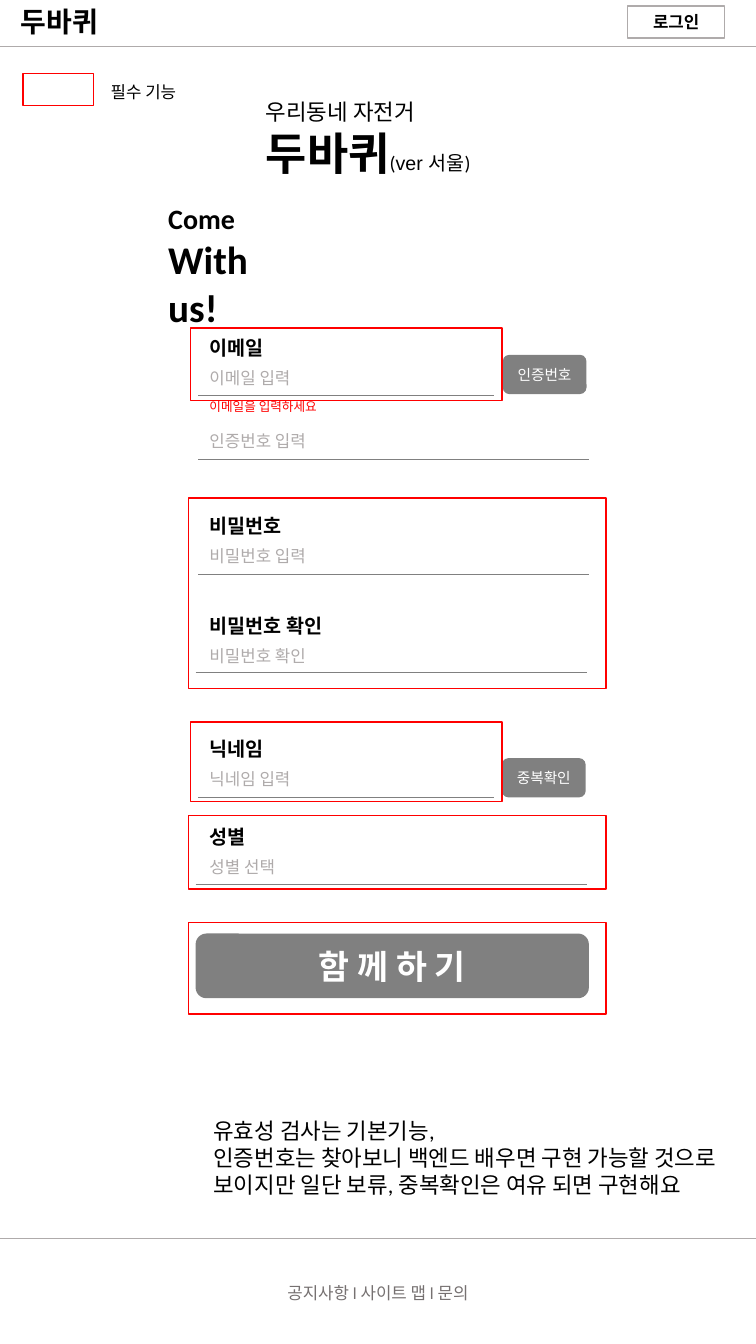
from dataclasses import dataclass

from lxml import etree
from pptx import Presentation
from pptx.dml.color import RGBColor
from pptx.enum.shapes import MSO_CONNECTOR, MSO_SHAPE
from pptx.enum.text import MSO_ANCHOR, MSO_AUTO_SIZE, PP_ALIGN
from pptx.oxml.ns import qn
from pptx.util import Cm, Pt

STRAIGHT = MSO_CONNECTOR.STRAIGHT
RECT, ROUNDED = MSO_SHAPE.RECTANGLE, MSO_SHAPE.ROUNDED_RECTANGLE
LEFT, CENTER = PP_ALIGN.LEFT, PP_ALIGN.CENTER
MIDDLE = MSO_ANCHOR.MIDDLE
GROW = MSO_AUTO_SIZE.SHAPE_TO_FIT_TEXT

WIDTH, HEIGHT = 19.05, 33.86
FIELD_X = 5.03
HINT_DROP = 0.8
SHORT_RULE, LONG_RULE, LOW_RULE = (5, 12.45), (5, 14.83), (4.93, 14.78)

# label, label top, hint, hint width, rule ends, rule y
FIELDS = [
    ("이메일", 8.33, "이메일 입력", 5.38, SHORT_RULE, 9.96),
    (None, 9.92, "인증번호 입력", 9, LONG_RULE, 11.58),
    ("비밀번호", 12.83, "비밀번호 입력", 9, LONG_RULE, 14.48),
    ("비밀번호 확인", 15.34, "비밀번호 확인", 9, LOW_RULE, 16.94),
    ("닉네임", 18.44, "닉네임 입력", 5.38, SHORT_RULE, 20.09),
    ("성별", 20.65, "성별 선택", 9, LOW_RULE, 22.28),
]
REQUIRED_BOXES = [
    (0.58, 1.85, 1.78, 0.81),
    (4.8, 8.26, 7.85, 1.83),
    (4.75, 12.55, 10.52, 4.8),
    (4.8, 18.19, 7.85, 2.01),
    (4.75, 20.55, 10.52, 1.85),
    (4.75, 23.24, 10.52, 2.31),
]


@dataclass(frozen=True)
class Theme:
    font: str = "Calibri"
    alt_font: str = "Arial"
    black: str = "000000"
    white: str = "FFFFFF"
    border: str = "AFABAB"
    gray: str = "808080"
    footer: str = "767171"
    red: str = "FF0000"
    error: float = 9
    button: float = 10.5
    body: float = 12
    label: float = 14
    note: float = 16
    title: float = 20
    submit: float = 24
    slogan: float = 28
    hero: float = 32


THEME = Theme()


def write(tf, *paragraphs, align=LEFT, **style):
    """Each paragraph is a string or a list of (text, style overrides) runs."""
    tf.word_wrap = True
    for i, runs in enumerate(paragraphs):
        p = tf.add_paragraph() if i else tf.paragraphs[0]
        p.alignment = align
        for text, changes in [(runs, {})] if isinstance(runs, str) else runs:
            look = {"size": THEME.body, "color": THEME.black, "bold": False,
                    "font": THEME.font, **style, **changes}
            r = p.add_run()
            r.text = text
            r.font.name = look["font"]
            r.font.size = Pt(look["size"])
            r.font.bold = look["bold"]
            r.font.color.rgb = RGBColor.from_string(look["color"])


class Page:
    def __init__(self, slide, theme):
        self.shapes = slide.shapes
        self.theme = theme

    def text(self, x, y, w, h, *paragraphs, **style):
        tf = self.shapes.add_textbox(Cm(x), Cm(y), Cm(w), Cm(h)).text_frame
        write(tf, *paragraphs, **style)
        tf.auto_size = GROW

    def rule(self, x1, x2, y, color):
        s = self.shapes.add_connector(STRAIGHT, Cm(x1), Cm(y), Cm(x2), Cm(y))
        s.line.color.rgb = RGBColor.from_string(color)
        s.line.width = Pt(0.5)
        etree.SubElement(s._element.spPr, qn("a:effectLst"))

    def box(self, x, y, w, h, text=None, kind=RECT, fill=None, line=None, **style):
        s = self.shapes.add_shape(kind, Cm(x), Cm(y), Cm(w), Cm(h))
        s.shadow.inherit = False
        if fill:
            s.fill.solid()
            s.fill.fore_color.rgb = RGBColor.from_string(fill)
        else:
            s.fill.background()
        if line:
            s.line.color.rgb = RGBColor.from_string(line)
            s.line.width = Pt(1)
        else:
            s.line.fill.background()
        if text:
            s.text_frame.vertical_anchor = MIDDLE
            write(s.text_frame, text, align=CENTER, **style)

    def button(self, x, y, w, h, text, **style):
        self.box(x, y, w, h, text, kind=ROUNDED, fill=self.theme.gray,
                 color=self.theme.white, **style)

    def field(self, label, y, hint, hint_w, ends, rule_y):
        t = self.theme
        self.rule(*ends, rule_y, t.gray)
        self.text(FIELD_X, y + HINT_DROP, hint_w, 0.76, hint, color=t.border)
        if label:
            self.text(FIELD_X, y, 3.73, 0.86, label, size=t.label, bold=True)


def main():
    prs = Presentation()
    prs.slide_width, prs.slide_height = Cm(WIDTH), Cm(HEIGHT)
    t = THEME
    page = Page(prs.slides.add_slide(prs.slide_layouts[6]), t)

    for y in (1.17, 31.19):
        page.rule(0, WIDTH, y, t.border)
    page.text(0.28, 0, 5.74, 1.12, "두바퀴", size=t.title, bold=True)
    page.box(15.82, 0.15, 2.44, 0.81, "로그인", fill=t.white, line=t.border, bold=True)
    page.text(2.54, 1.93, 2.57, 0.76, "필수 기능")
    page.text(6.45, 2.36, 6.2, 2.39, "우리동네 자전거", [
        ("두바퀴", {"size": t.hero, "bold": True}),
        ("(", {"size": t.label}),
        ("ver ", {"size": t.label, "font": t.alt_font}),
        ("서울)", {"size": t.label}),
    ], size=t.note)
    page.text(3.99, 4.8, 3.73, 2.49,
              [("Come", {"size": t.title}), (" ", {"size": t.submit})],
              "With us!", size=t.slogan, bold=True)

    for field in FIELDS:
        page.field(*field)
    page.button(12.67, 8.94, 2.11, 0.99, "인증번호", size=t.button)
    page.button(12.65, 19.1, 2.11, 0.99, "중복확인", size=t.button)
    page.button(4.93, 23.52, 9.91, 1.63, "함 께 하 기", size=t.submit, bold=True)
    for box in REQUIRED_BOXES:
        page.box(*box, line=t.red)
    page.text(FIELD_X, 9.93, 5.66, 0.64, "이메일을 입력하세요", size=t.error, color=t.red)

    page.text(5.13, 28.02, 13.46, 3, "유효성 검사는 기본기능,",
              "인증번호는 찾아보니 백엔드 배우면 구현 가능할 것으로 보이지만 일단 보류, "
              "중복확인은 여유 되면 구현해요", size=t.note)
    page.text(5.51, 32.18, 8.03, 0.76, "공지사항 l 사이트 맵 l 문의",
              align=CENTER, color=t.footer)
    prs.save("out.pptx")


if __name__ == "__main__":
    main()
